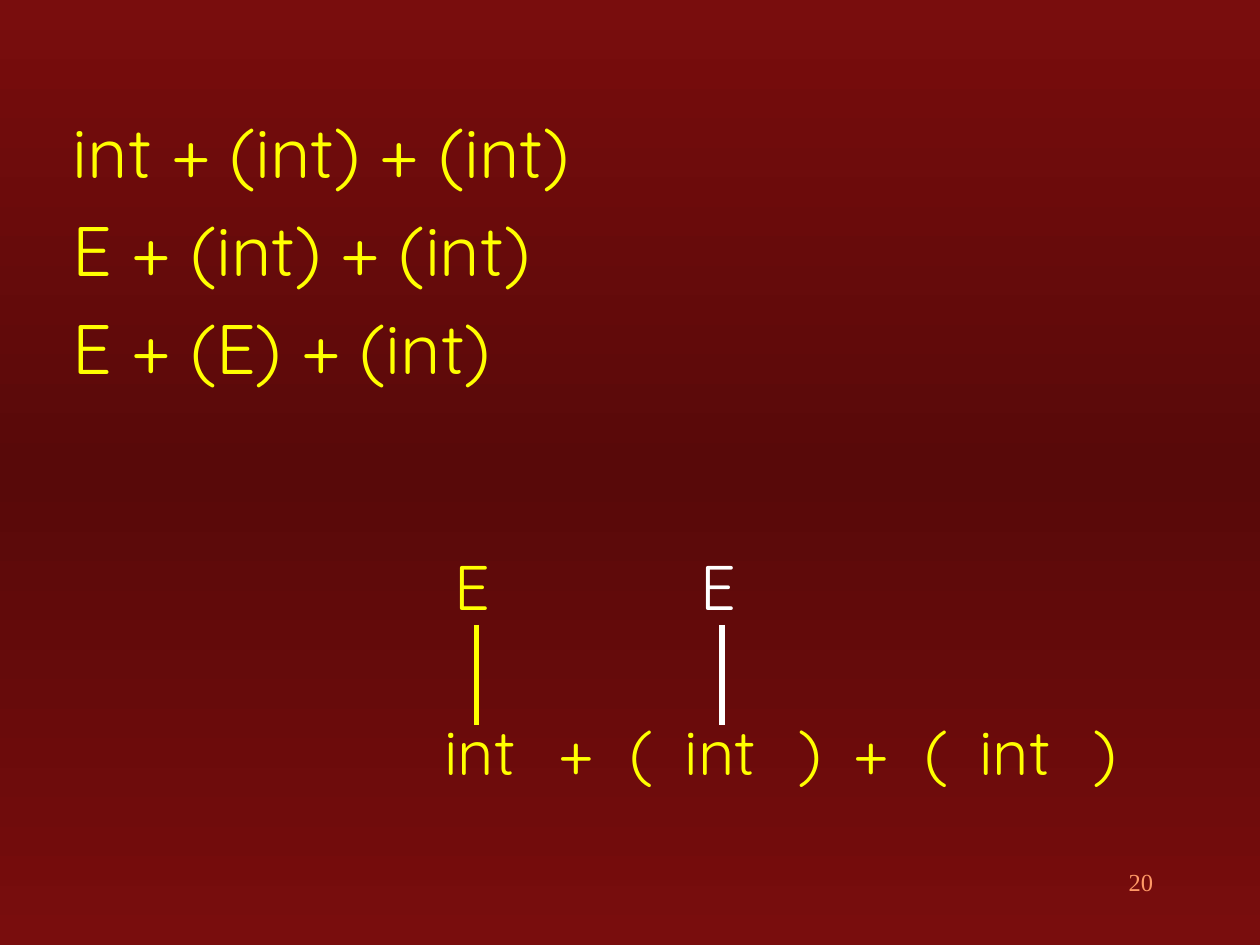
from copy import deepcopy
from dataclasses import dataclass

from pptx import Presentation
from pptx.dml.color import RGBColor
from pptx.enum.text import MSO_AUTO_SIZE, PP_ALIGN
from pptx.oxml.ns import qn
from pptx.oxml.xmlchemy import OxmlElement
from pptx.slide import Slide
from pptx.util import Inches, Pt


@dataclass(frozen=True)
class Theme:
    yellow: str = "FFFF00"
    white: str = "FFFFFF"
    orange: str = "FF9966"
    gradient: tuple[str, ...] = ("790D0D", "580909", "790D0D")
    font: str = "Quicksand"
    number_font: str = "Times New Roman"
    derivation_size: int = 40
    tree_size: int = 36
    number_size: int = 14
    branch_width: int = 3


@dataclass(frozen=True)
class Node:
    """A nonterminal and the branch that hangs below it."""
    left: float
    color: str


THEME = Theme()
DERIVATION = ("int + (int) + (int)", "E + (int) + (int)", "E + (E) + (int)")
TOKENS = ("int", "+", "(", "int", ")", "+", "(", "int", ")")
TOKEN_WIDTHS = {"int": 0.82, "+": 0.48, "(": 0.35, ")": 0.35}
ROW_LEFT, ROW_RIGHT, ROW_TOP = 3.43, 8.93, 5.61
NODES = (Node(3.51, THEME.yellow), Node(5.46, THEME.white))
NODE_TOP, NODE_WIDTH, LABEL_HEIGHT = 4.3, 0.48, 0.7
BRANCH_OFFSET, BRANCH_TOP, BRANCH_BOTTOM = 0.27, 4.96, 5.75


def paint_background(page: Slide) -> None:
    fill = page.background.fill
    fill.gradient()
    fill.gradient_angle = 270
    stop_list = page.element.find(".//" + qn("a:gsLst"))
    stop_list.append(deepcopy(stop_list[-1]))
    last = len(THEME.gradient) - 1
    for index, (stop, color) in enumerate(zip(fill.gradient_stops, THEME.gradient)):
        stop.position = index / last
        stop.color.rgb = RGBColor.from_string(color)


def add_text(page: Slide, lines: tuple[str, ...], area: tuple[float, ...], size: int,
             color: str = THEME.yellow, font: str = THEME.font, wrap: bool = True,
             align: PP_ALIGN = PP_ALIGN.LEFT, gap: float = 0) -> None:
    box = page.shapes.add_textbox(*map(Inches, area))
    frame = box.text_frame
    frame.word_wrap = wrap
    frame.auto_size = MSO_AUTO_SIZE.NONE if wrap else MSO_AUTO_SIZE.SHAPE_TO_FIT_TEXT
    for index, line in enumerate(lines):
        para = frame.add_paragraph() if index else frame.paragraphs[0]
        para.alignment = align
        para.space_before = Pt(gap if index else 0)
        span = para.add_run()
        span.text = line
        for name, value in {"name": font, "size": Pt(size)}.items():
            setattr(span.font, name, value)
        span.font.color.rgb = RGBColor.from_string(color)


def add_label(page: Slide, text: str, left: float, top: float, width: float,
              color: str = THEME.yellow) -> None:
    add_text(page, (text,), (left, top, width, LABEL_HEIGHT), THEME.tree_size,
             color, wrap=False)


def add_token_row(page: Slide) -> None:
    """Spread the tokens over the row with equal gaps."""
    used = sum(TOKEN_WIDTHS[token] for token in TOKENS)
    gap = (ROW_RIGHT - ROW_LEFT - used) / (len(TOKENS) - 1)
    left = ROW_LEFT
    for token in TOKENS:
        add_label(page, token, left, ROW_TOP, TOKEN_WIDTHS[token])
        left += TOKEN_WIDTHS[token] + gap


def add_node(page: Slide, node: Node) -> None:
    x = Inches(node.left + BRANCH_OFFSET)
    branch = page.shapes.add_connector(1, x, Inches(BRANCH_TOP), x, Inches(BRANCH_BOTTOM))
    branch.line.color.rgb = RGBColor.from_string(node.color)
    branch.line.width = Pt(THEME.branch_width)
    branch.element.spPr.append(OxmlElement("a:effectLst"))
    add_label(page, "E", node.left, NODE_TOP, NODE_WIDTH, node.color)


def main() -> None:
    deck = Presentation()
    deck.slide_width, deck.slide_height = Inches(10), Inches(7.5)
    page = deck.slides.add_slide(deck.slide_layouts[6])
    paint_background(page)
    add_text(page, ("20",), (7.17, 6.83, 2.08, 0.5), THEME.number_size,
             THEME.orange, THEME.number_font, align=PP_ALIGN.RIGHT)
    add_text(page, DERIVATION, (0.48, 0.81, 4.35, 4.81), THEME.derivation_size, gap=8)
    add_token_row(page)
    for node in NODES:
        add_node(page, node)
    deck.save("out.pptx")


if __name__ == "__main__":
    main()
